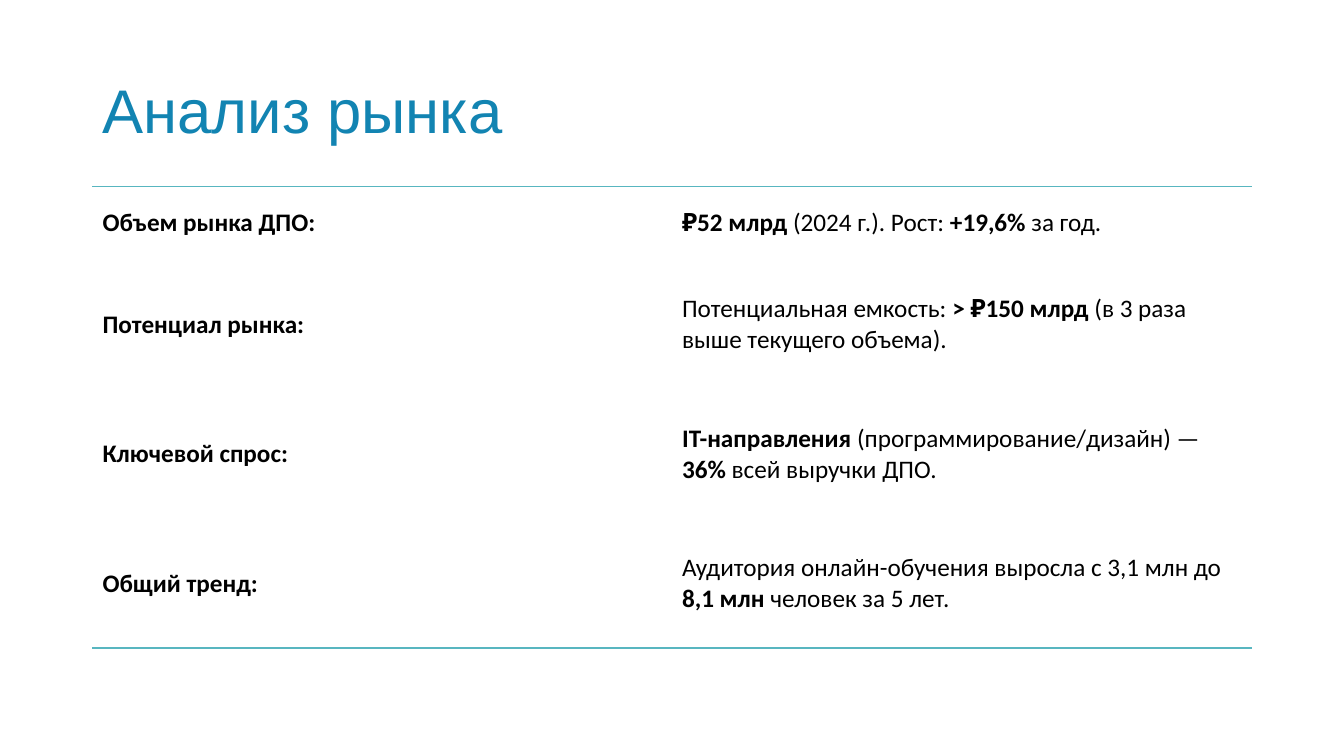
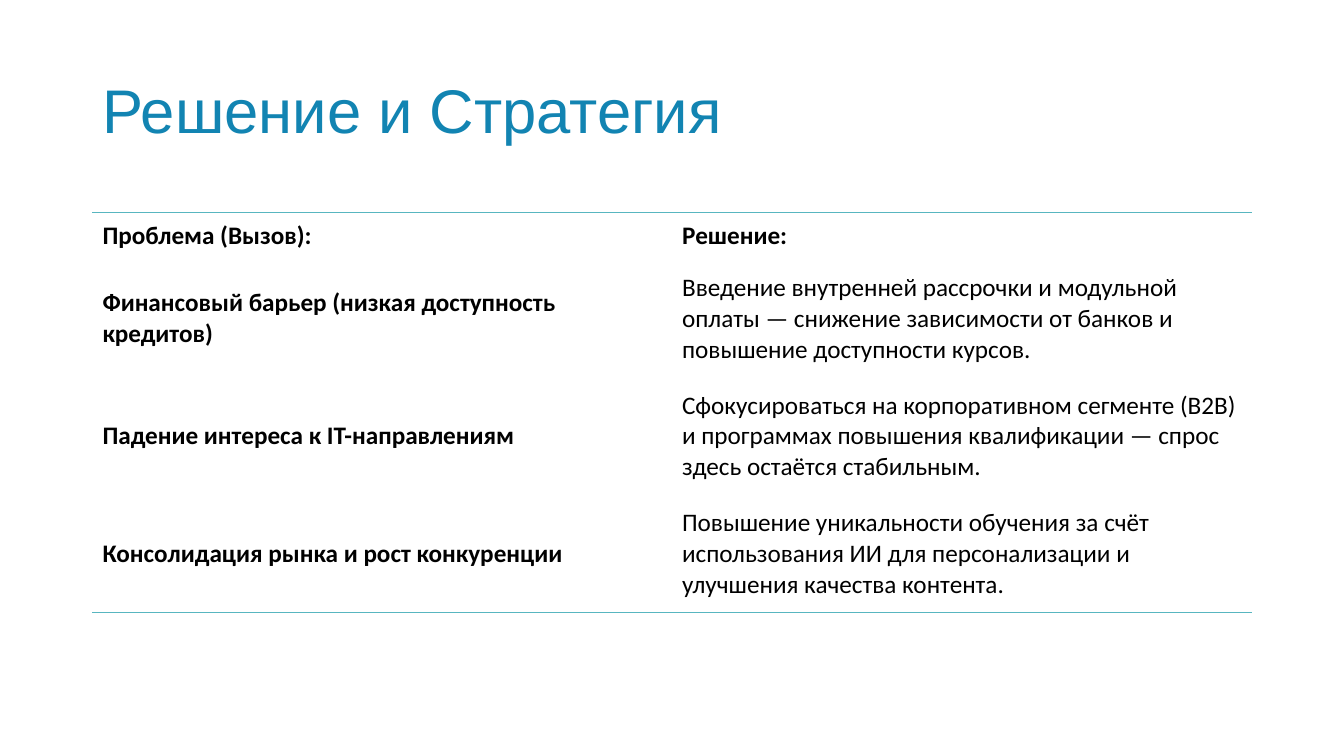
from dataclasses import dataclass

from lxml import etree
from pptx import Presentation, util as u
from pptx.dml.color import RGBColor
from pptx.enum import text
from pptx.oxml import ns

BLUE, TEAL, BLACK = "1284B2", "58B6C0", "000000"
LEFT, WIDTH = u.Cm(2.33), u.Cm(29.21)
PLAIN = "{2D5ABB26-0587-4C30-8999-92F81FD0307C}"


@dataclass
class Page:
    title: str
    top: float
    head: float
    step: float
    rows: list[tuple[str, str]]


PAGES = [
    Page("Анализ рынка", 4.7, 1.85, 3.26, [
        ("*Объем рынка ДПО:*",
         "*₽52 млрд* (2024 г.). Рост: *+19,6%* за год."),
        ("*Потенциал рынка:*",
         "Потенциальная емкость: *> ₽150 млрд* (в 3 раза выше текущего объема)."),
        ("*Ключевой спрос:*",
         "*IT-направления* (программирование/дизайн) — *36%* всей выручки ДПО."),
        ("*Общий тренд:*",
         "Аудитория онлайн-обучения выросла с 3,1 млн до *8,1 млн* человек за 5 лет."),
    ]),
    Page("Решение и Стратегия", 5.36, 1.19, 2.96, [
        ("*Проблема (Вызов):*", "*Решение:*"),
        ("*Финансовый барьер (низкая доступность кредитов)*",
         "Введение внутренней рассрочки и модульной оплаты — снижение "
         "зависимости от банков и повышение доступности курсов."),
        ("*Падение интереса к IT-направлениям*",
         "Сфокусироваться на корпоративном сегменте (B2B) и программах "
         "повышения квалификации — спрос здесь остаётся стабильным."),
        ("*Консолидация рынка и рост конкуренции*",
         "Повышение уникальности обучения за счёт использования ИИ для "
         "персонализации и улучшения качества контента."),
    ]),
]


def style(font, name: str, size: float, color: str, bold: bool = False) -> None:
    font.name, font.size, font.bold = name, u.Pt(size), bold
    font.color.rgb = RGBColor.from_string(color)


def add_title(slide, words: str) -> None:
    box = slide.shapes.title
    box.left, box.top, box.width, box.height = LEFT, u.Cm(1.01), WIDTH, u.Cm(3.68)
    frame = box.text_frame
    frame.text = words
    frame.auto_size = text.MSO_AUTO_SIZE.NONE
    frame.vertical_anchor = text.MSO_ANCHOR.MIDDLE
    para = frame.paragraphs[0]
    para.alignment, para.line_spacing = text.PP_ALIGN.LEFT, 0.9
    style(para.runs[0].font, "Arial", 44, BLUE)


def add_rule(cell, side: str) -> None:
    """Draw one cell border; side is lnT or lnB."""
    line = etree.Element(ns.qn(f"a:{side}"), w=str(u.Pt(1)))
    fill = etree.SubElement(line, ns.qn("a:solidFill"))
    etree.SubElement(fill, ns.qn("a:srgbClr"), val=TEAL)
    cell._tc.get_or_add_tcPr().insert(0, line)


def fill_cell(cell, words: str) -> None:
    """Write the words, with the parts between asterisks in bold."""
    cell.vertical_anchor = text.MSO_ANCHOR.MIDDLE
    cell.fill.background()
    para = cell.text_frame.paragraphs[0]
    for i, part in enumerate(words.split("*")):
        if part:
            run = para.add_run()
            run.text = part
            style(run.font, "Calibri", 18, BLACK, i % 2 == 1)


def add_grid(slide, page: Page) -> None:
    count = len(page.rows)
    high = u.Cm(page.head + page.step * (count - 1))
    grid = slide.shapes.add_table(count, 2, LEFT, u.Cm(page.top), WIDTH, high).table
    grid.first_row = grid.horz_banding = False
    grid._tbl.tblPr.find(ns.qn("a:tableStyleId")).text = PLAIN
    for r, row in enumerate(page.rows):
        grid.rows[r].height = u.Cm(page.step if r else page.head)
        for c, words in enumerate(row):
            fill_cell(grid.cell(r, c), words)
    for c in range(2):
        add_rule(grid.cell(0, c), "lnT")
        add_rule(grid.cell(count - 1, c), "lnB")


def main() -> None:
    deck = Presentation()
    deck.slide_width, deck.slide_height = u.Cm(33.87), u.Cm(19.05)
    for page in PAGES:
        slide = deck.slides.add_slide(deck.slide_layouts[5])
        add_title(slide, page.title)
        add_grid(slide, page)
    deck.save("out.pptx")


if __name__ == "__main__":
    main()
